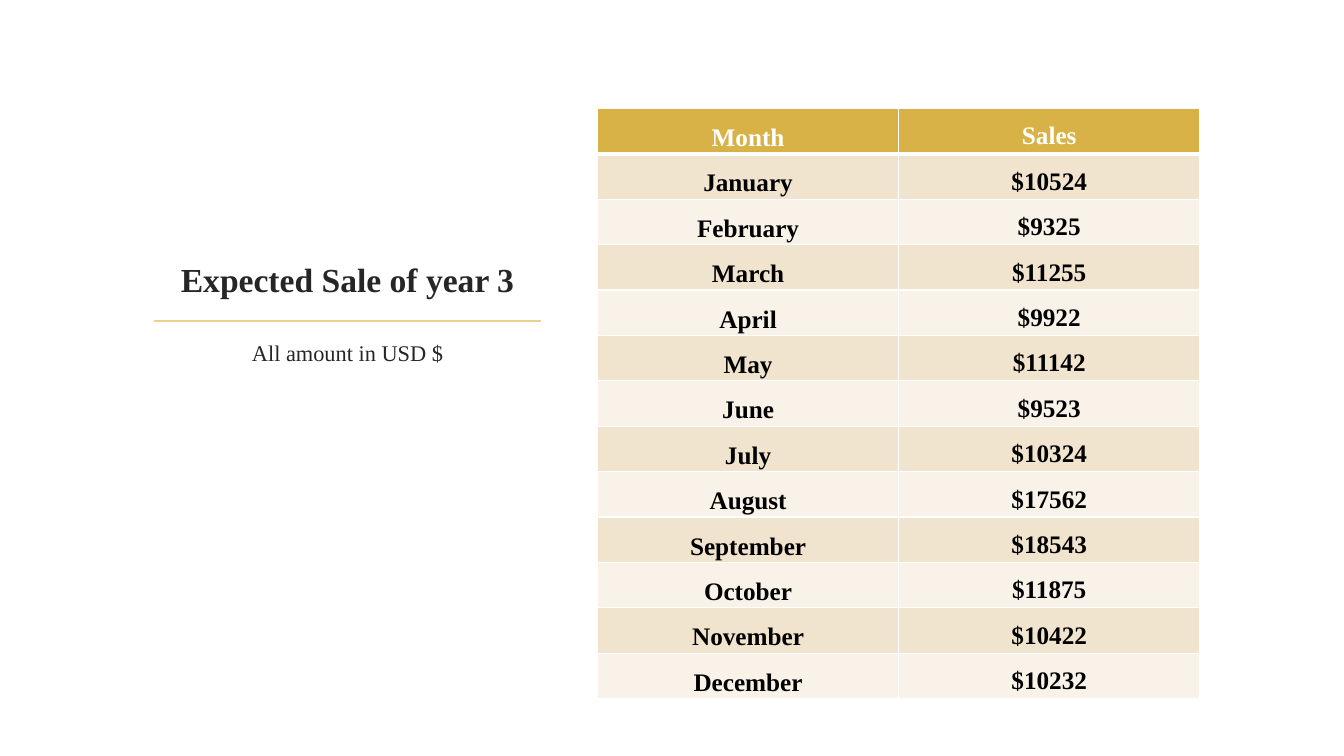
from lxml import etree
from pptx import Presentation
from pptx.dml.color import RGBColor
from pptx.enum.shapes import MSO_CONNECTOR
from pptx.enum.text import MSO_ANCHOR as ANCHOR, PP_ALIGN as ALIGN
from pptx.oxml.ns import qn
from pptx.util import Pt

FONT = "Times New Roman"
COLORS = {
    "text": "262626", "rule": "E8D191", "header": "D9B247", "white": "FFFFFF",
    "black": "000000", "odd": "F1E4CF", "even": "F8F2E9",
}
SALES = [
    ("Month", "Sales"),
    ("January", "$10524"), ("February", "$9325"), ("March", "$11255"),
    ("April", "$9922"), ("May", "$11142"), ("June", "$9523"),
    ("July", "$10324"), ("August", "$17562"), ("September", "$18543"),
    ("October", "$11875"), ("November", "$10422"), ("December", "$10232"),
]


def rgb(name):
    return RGBColor.from_string(COLORS[name])


def add_run(p, text, size, color, bold=False):
    p.alignment = ALIGN.CENTER
    r = p.add_run()
    r.text = text
    r.font.name, r.font.size, r.font.bold = FONT, Pt(size), bold
    r.font.color.rgb = rgb(color)


def add_text(s, x, y, w, h, anchor, text, size, bold=False):
    tf = s.shapes.add_textbox(Pt(x), Pt(y), Pt(w), Pt(h)).text_frame
    tf.word_wrap = True
    tf.vertical_anchor = anchor
    p = tf.paragraphs[0]
    add_run(p, text, size, "text", bold)
    return p


def add_heading(s, x, y, w):
    """Title above a thin rule, with the currency note below it."""
    rule_y = y + 66.6
    rule = s.shapes.add_connector(
        MSO_CONNECTOR.STRAIGHT, Pt(x + 8.5), Pt(rule_y), Pt(x + w - 8), Pt(rule_y))
    rule.line.color.rgb = rgb("rule")
    rule.line.width = Pt(1.25)
    etree.SubElement(rule._element.spPr, qn("a:effectLst"))
    add_text(s, x, y, w, 54.7, ANCHOR.BOTTOM, "Expected Sale of year 3", 24, True)
    note = add_text(s, x, rule_y + 9.5, w, 31.7, ANCHOR.TOP, "All amount in USD $", 16)
    note.space_before, note.space_after = Pt(3.2), Pt(6)


def set_borders(cell, widths):
    """Draw white borders; they must come before the fill in the cell XML."""
    tc_pr = cell._tc.get_or_add_tcPr()
    for i, (side, width) in enumerate(widths.items()):
        ln = etree.Element(qn(f"a:ln{side}"), w=str(Pt(width)))
        fill = etree.SubElement(ln, qn("a:solidFill"))
        etree.SubElement(fill, qn("a:srgbClr"), val=COLORS["white"])
        tc_pr.insert(i, ln)


def add_sales_table(s, x, y, w, h):
    n_rows, n_cols = len(SALES), len(SALES[0])
    table = s.shapes.add_table(n_rows, n_cols, Pt(x), Pt(y), Pt(w), Pt(h)).table
    for row in table.rows:
        row.height = Pt(h / n_rows)
    for i, values in enumerate(SALES):
        fill = "header" if i == 0 else "odd" if i % 2 else "even"
        for j, value in enumerate(values):
            cell = table.cell(i, j)
            cell.fill.solid()
            cell.fill.fore_color.rgb = rgb(fill)
            cell.margin_left = cell.margin_right = Pt(5)
            cell.margin_top = cell.margin_bottom = Pt(0)
            if j == 0:
                cell.vertical_anchor = ANCHOR.MIDDLE
            set_borders(cell, {"L": 1, "R": 1, "T": 3 if i == 1 else 1,
                               "B": 3 if i == 0 else 1})
            p = cell.text_frame.paragraphs[0]
            p.line_spacing, p.space_after = 1.5, Pt(8)
            add_run(p, value, 18, "black" if i else "white", True)


def main():
    prs = Presentation()
    prs.slide_width, prs.slide_height = Pt(960), Pt(540)
    s = prs.slides.add_slide(prs.slide_layouts[6])
    add_heading(s, 101.8, 162.7, 293)
    add_sales_table(s, 426.8, 77.4, 430.2, 388.2)
    prs.save("out.pptx")


if __name__ == "__main__":
    main()
